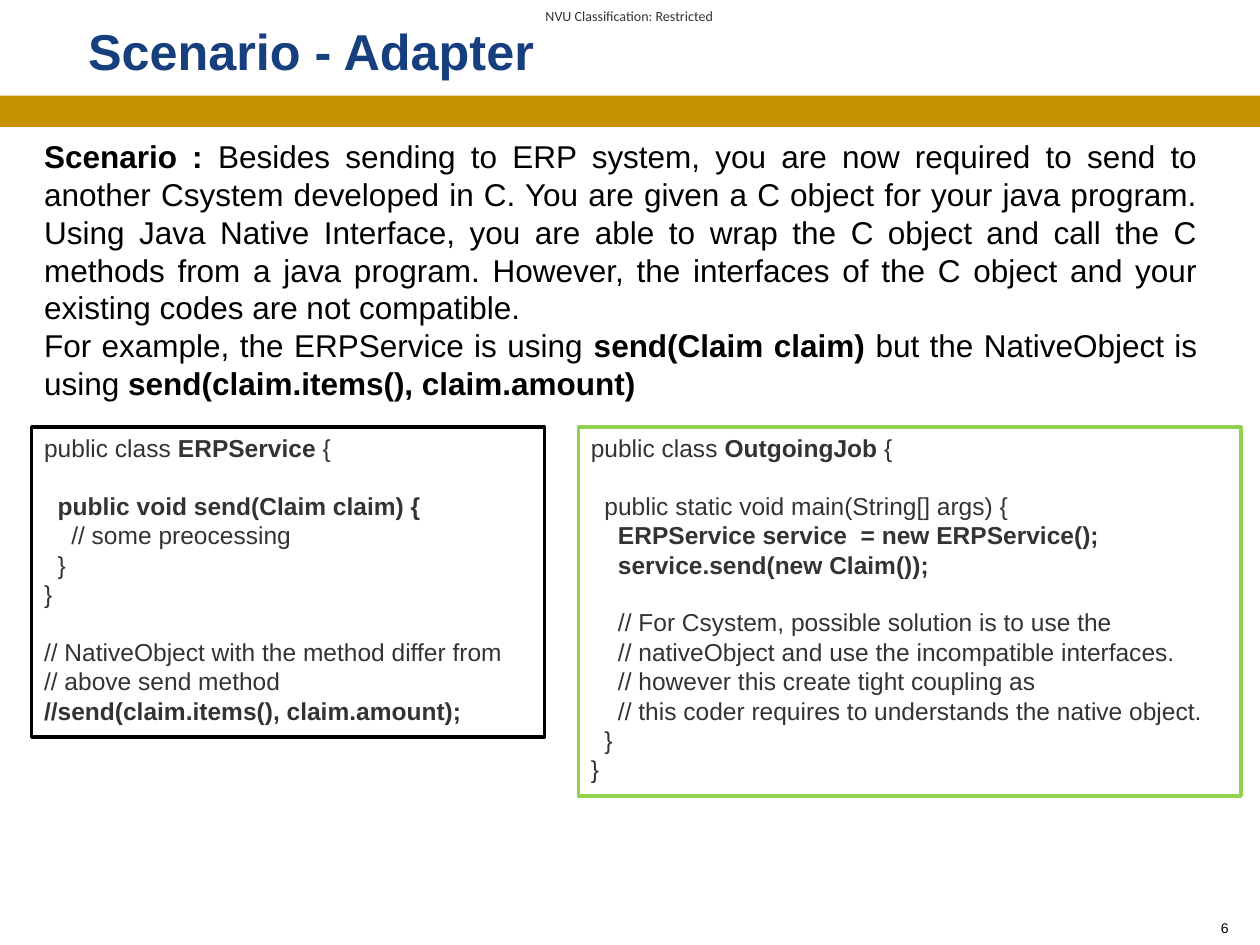
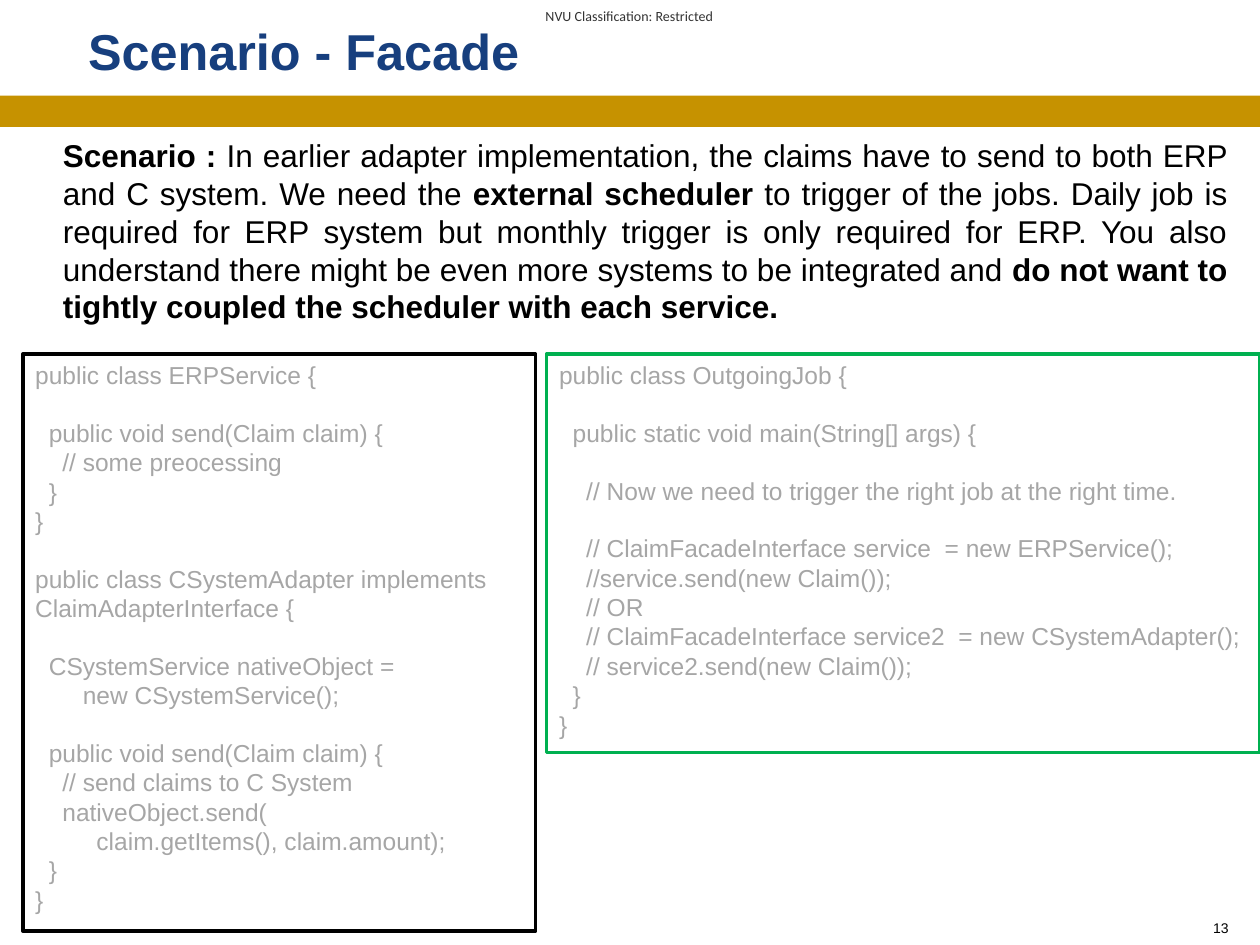
from pptx import Presentation
from pptx.dml.color import RGBColor
from pptx.enum.shapes import MSO_SHAPE
from pptx.enum.text import MSO_ANCHOR, MSO_AUTO_SIZE, PP_ALIGN
from pptx.util import Cm, Pt

RECT = MSO_SHAPE.RECTANGLE
TOP, MIDDLE = MSO_ANCHOR.TOP, MSO_ANCHOR.MIDDLE
LEFT, CENTER, RIGHT, JUSTIFY = PP_ALIGN.LEFT, PP_ALIGN.CENTER, PP_ALIGN.RIGHT, PP_ALIGN.JUSTIFY
NO_FIT = MSO_AUTO_SIZE.NONE

COLORS = {
    "gold": "C69200", "navy": "173F7E", "black": "000000", "dark": "333333",
    "grey": "A6A6A6", "lime": "92D050", "green": "00B050",
}
SPACE_WIDTH = 0.278  # width of a space, as a share of the text size
LINE_HEIGHT = 1.15

# Slide content: ** switches bold on and off, code keeps its own indentation
SLIDES = [
    {
        "title": "Scenario - Adapter",
        "number": "6",
        "scenario_at": (0.64, 2.64, 23.75, 5.64),
        "scenario": (
            "**Scenario : **Besides sending to ERP system, you are now required to send to "
            "another Csystem developed in C. You are given a C object for your java program. "
            "Using Java Native Interface, you are able to wrap the C object and call the C "
            "methods from a java program. However, the interfaces of the C object and your "
            "existing codes are not compatible.\n"
            "For example, the ERPService is using **send(Claim claim) **but the NativeObject "
            "is using **send(claim.items(), claim.amount)**"
        ),
        "code_color": "dark",
        "panels": [
            ((0.64, 8.61, 10.34, 6.25), "black", """\
public class **ERPService** {

  **public void send(Claim claim) {**
    // some preocessing
  }
}

// NativeObject with the method differ from
// above send method
**//send(claim.items(), claim.amount);**"""),
            ((11.66, 8.61, 13.36, 7.44), "lime", """\
public class **OutgoingJob** {

  public static void main(String[] args) {
    **ERPService service  = new ERPService();**
    **service.send(new Claim());**

    // For Csystem, possible solution is to use the
    // nativeObject and use the incompatible interfaces.
    // however this create tight coupling as
    // this coder requires to understands the native object.
  }
}"""),
        ],
    },
    {
        "title": "Scenario - Facade",
        "number": "13",
        "scenario_at": (1.02, 2.62, 23.98, 4.11),
        "scenario": (
            "**Scenario : **In earlier adapter implementation, the claims have to send to both "
            "ERP and C system. We need the **external scheduler **to trigger of the jobs. Daily "
            "job is required for ERP system but monthly trigger is only required for ERP. You "
            "also understand there might be even more systems to be integrated and **do not "
            "want to tightly coupled the scheduler with each service.**"
        ),
        "code_color": "grey",
        "panels": [
            ((0.46, 7.14, 10.34, 11.63), "black", """\
public class ERPService {

  public void send(Claim claim) {
    // some preocessing
  }
}

public class CSystemAdapter implements ClaimAdapterInterface {

  CSystemService nativeObject =
       new CSystemService();

  public void send(Claim claim) {
    // send claims to C System
    nativeObject.send(
         claim.getItems(), claim.amount);
  }
}"""),
            ((11.02, 7.14, 14.38, 8.03), "green", """\
public class OutgoingJob {

  public static void main(String[] args) {

    // Now we need to trigger the right job at the right time.

    // ClaimFacadeInterface service  = new ERPService();
    //service.send(new Claim());
    // OR
    // ClaimFacadeInterface service2  = new CSystemAdapter();
    // service2.send(new Claim());
  }
}"""),
        ],
    },
]


def write(sp, text, size=14, color="black", font="Arial", bold=False, align=LEFT, anchor=TOP):
    """Fill a shape; leading spaces become indents and empty lines space before."""
    tf = sp.text_frame
    tf.word_wrap = True
    tf.auto_size = NO_FIT
    tf.vertical_anchor = anchor
    p, gap = tf.paragraphs[0], 0
    for i, line in enumerate(text.split("\n")):
        if not line:
            gap += size * LINE_HEIGHT
            continue
        if i:
            p = tf.add_paragraph()
        p.alignment = align
        p.space_before = Pt(gap)
        gap = 0
        code = line.lstrip()
        indent = Pt((len(line) - len(code)) * size * SPACE_WIDTH)
        if indent:
            p._p.get_or_add_pPr().set("marL", str(indent))
        for n, part in enumerate(code.split("**")):
            if part:
                r = p.add_run()
                r.text = part
                r.font.size = Pt(size)
                r.font.name = font
                r.font.bold = bold or n % 2 == 1
                r.font.color.rgb = RGBColor.from_string(COLORS[color])


def place(shapes, box, kind=None):
    """Add a text box, or a preset shape without shadow, at a box in cm."""
    at = [Cm(v) for v in box]
    if kind is None:
        return shapes.add_textbox(*at)
    sp = shapes.add_shape(kind, *at)
    sp.shadow.inherit = False
    return sp


prs = Presentation()
prs.slide_width, prs.slide_height = Cm(25.4), Cm(19.05)
title_only = prs.slide_layouts[5]

for content in SLIDES:
    s = prs.slides.add_slide(title_only)

    # Band and classification line
    band = place(s.shapes, (0, 1.93, 25.4, 0.63), RECT)
    band.fill.solid()
    band.fill.fore_color.rgb = RGBColor.from_string(COLORS["gold"])
    band.line.fill.background()
    label = place(s.shapes, (10.62, 0, 4.14, 0.64))
    tf = label.text_frame
    tf.margin_left = tf.margin_right = tf.margin_top = tf.margin_bottom = 0
    write(label, "NVU Classification: Restricted", size=8, color="dark", font="Calibri",
          align=CENTER, anchor=MIDDLE)

    # Title and slide number
    title = s.shapes.title
    title.left, title.top, title.width, title.height = Cm(1.52), Cm(0.25), Cm(21.51), Cm(1.52)
    write(title, content["title"], size=28.8, color="navy", bold=True, anchor=MIDDLE)
    number = place(s.shapes, (21.41, 18.42, 3.61, 0.63))
    write(number, content["number"], size=8, align=RIGHT)

    # Scenario text
    scenario = place(s.shapes, content["scenario_at"])
    write(scenario, content["scenario"], size=18, align=JUSTIFY)

    # Code panels
    for box, outline, code in content["panels"]:
        panel = place(s.shapes, box, RECT)
        panel.fill.background()
        panel.line.color.rgb = RGBColor.from_string(COLORS[outline])
        panel.line.width = Pt(2)
        write(panel, code, color=content["code_color"])

prs.save("out.pptx")
